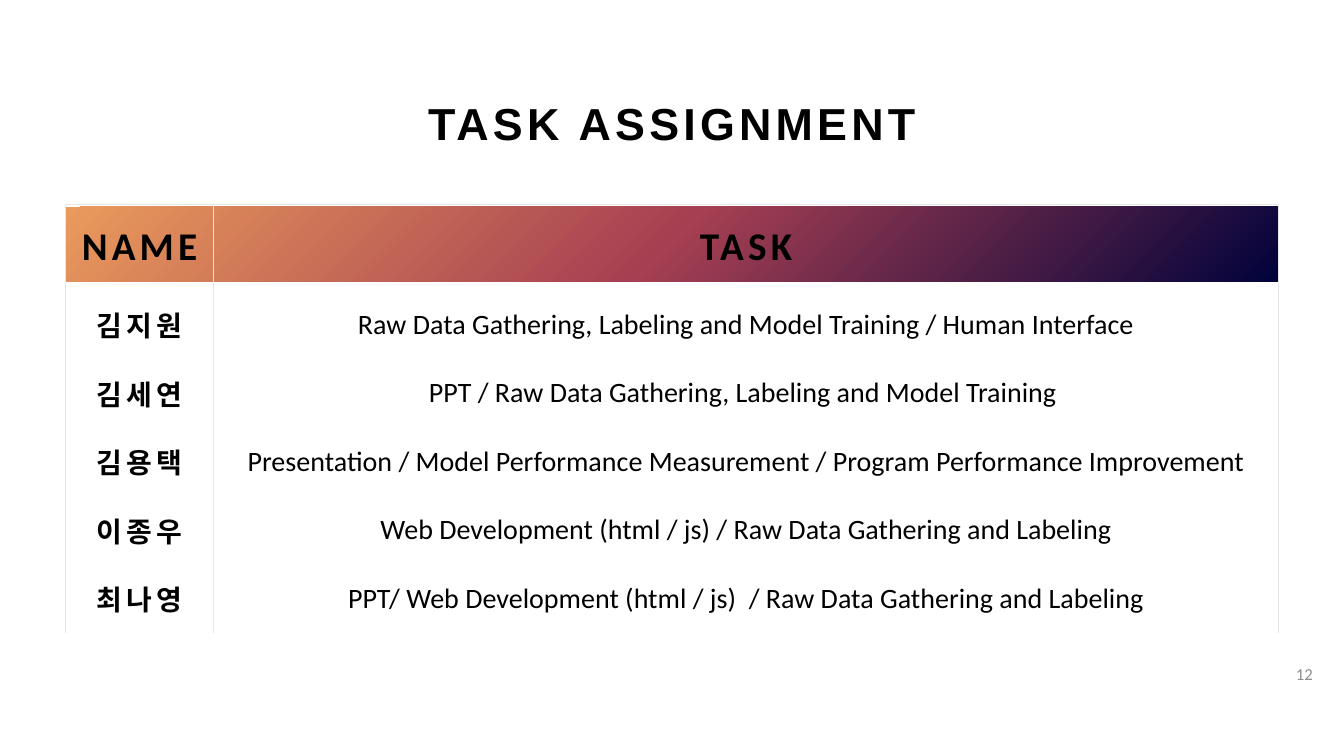
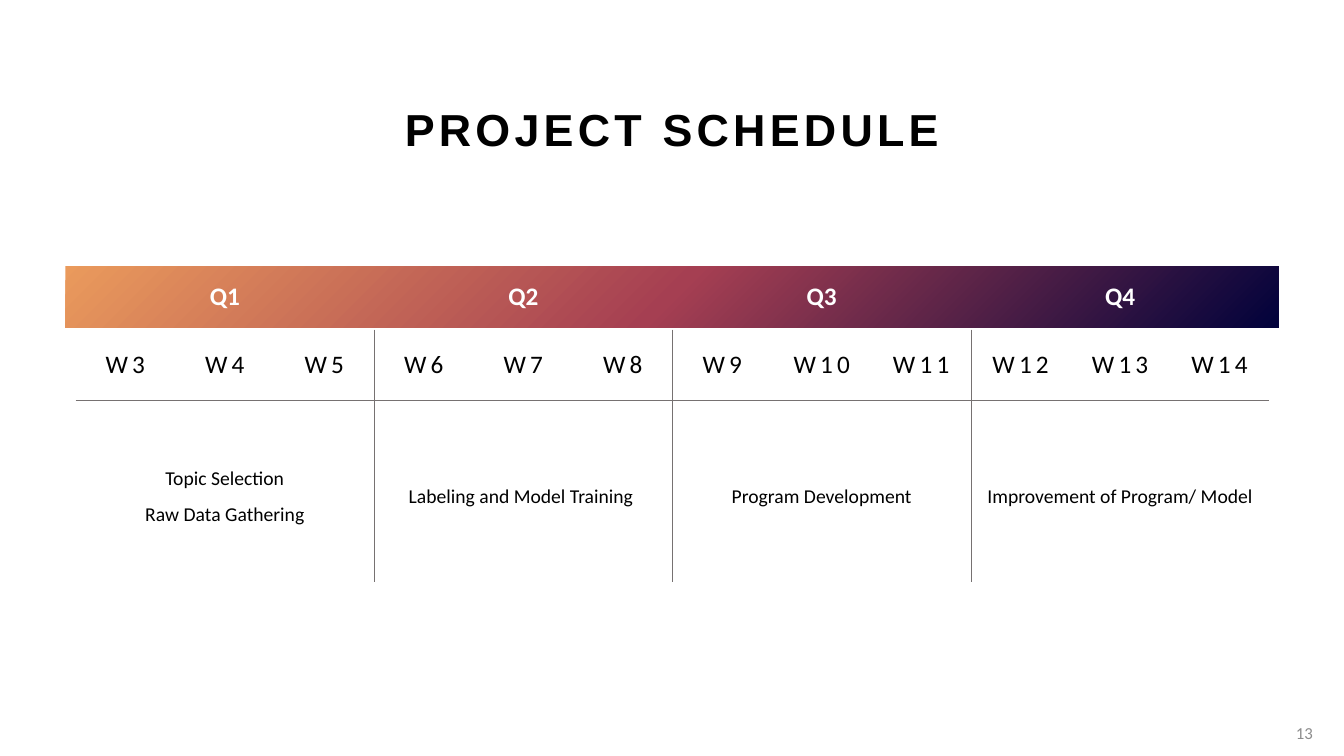
from dataclasses import dataclass, field

from pptx import Presentation
from pptx import util as u
from pptx.dml.color import RGBColor
from pptx.enum import shapes, text
from pptx.oxml import parse_xml
from pptx.oxml.ns import nsdecls, qn

EMU_PER_PX = 9144  # 100 px to the inch
COLORS = {
    "text": "000000",
    "white": "FFFFFF",
    "page": "8C8C8C",
    "navy": "01023B",
    "rose": "A53F52",
    "orange": "EA9A5C",
    "pale_rule": "E7E6E6",
    "rule": "767171",
}
HEADING_FONT, BODY_FONT = "Arial", "Calibri"
NO_STYLE = "{2D5ABB26-0587-4C30-8999-92F81FD0307C}"
LEFT, WIDTH = 65, 1203
WEEKS_PER_QUARTER, FIRST_WEEK = 3, 3

TASKS = {
    "김지원": "Raw Data Gathering, Labeling and Model Training / Human Interface",
    "김세연": "PPT / Raw Data Gathering, Labeling and Model Training ",
    "김용택": "Presentation / Model Performance Measurement / Program Performance Improvement",
    "이종우": "Web Development (html / js) / Raw Data Gathering and Labeling",
    "최나영": "PPT/ Web Development (html / js)  / Raw Data Gathering and Labeling",
}
QUARTERS = {
    "Q1": "Topic Selection\nRaw Data Gathering",
    "Q2": "Labeling and Model Training ",
    "Q3": "Program Development",
    "Q4": "Improvement of Program/ Model",
}


@dataclass(frozen=True)
class Frame:
    """Common parts of a slide, placed by their tops in px."""
    title: str
    title_top: int
    band_top: int
    band_height: int
    page: int
    page_top: int


@dataclass(frozen=True)
class TableCell:
    row: int
    column: int
    words: str
    sides: str = ""
    span: int = 1
    style: dict = field(default_factory=dict)


def px(length: float) -> u.Emu:
    return u.Emu(round(length * EMU_PER_PX))


def write(frame, words: str, *, size: int, color: str = "text", font: str = BODY_FONT,
          bold: bool = False, spacing: int = 0, line_spacing: float = 1.0,
          align=text.PP_ALIGN.CENTER) -> None:
    """Fill a text frame, one paragraph for each line of words."""
    for index, line in enumerate(words.split("\n")):
        paragraph = frame.add_paragraph() if index else frame.paragraphs[0]
        paragraph.alignment = align
        paragraph.line_spacing = line_spacing
        run = paragraph.add_run()
        run.text = line
        run.font.name, run.font.size, run.font.bold = font, u.Pt(size), bold
        run.font.color.rgb = RGBColor.from_string(COLORS[color])
        run._r.get_or_add_rPr().set("spc", str(spacing * 100))


def add_label(slide, box: tuple[int, int, int, int], words: str, **style) -> None:
    frame = slide.shapes.add_textbox(*map(px, box)).text_frame
    frame.word_wrap = True
    frame.vertical_anchor = text.MSO_ANCHOR.MIDDLE
    write(frame, words, **style)


def add_band(slide, top: int, height: int) -> None:
    """Draw the header band, shaded from its lower right corner."""
    band = slide.shapes.add_shape(shapes.MSO_SHAPE.RECTANGLE,
                                  *map(px, (LEFT, top, WIDTH, height)))
    band.shadow.inherit = False
    band.line.fill.background()
    band.fill.background()
    stops = "".join(
        f'<a:gs pos="{position}000"><a:srgbClr val="{COLORS[color]}"/></a:gs>'
        for position, color in ((0, "navy"), (50, "rose"), (100, "orange")))
    gradient = parse_xml(
        f'<a:gradFill {nsdecls("a")} rotWithShape="1"><a:gsLst>{stops}</a:gsLst>'
        '<a:path path="circle"><a:fillToRect l="100000" t="100000"/></a:path>'
        '</a:gradFill>')
    properties = band._element.spPr
    properties.replace(properties.find(qn("a:noFill")), gradient)


def add_framed_slide(presentation, frame: Frame):
    slide = presentation.slides.add_slide(presentation.slide_layouts[6])
    add_band(slide, frame.band_top, frame.band_height)
    add_label(slide, (LEFT, frame.title_top, WIDTH, 90), frame.title,
              size=32, font=HEADING_FONT, bold=True, spacing=3)
    add_label(slide, (1263, frame.page_top, 49, 40), str(frame.page),
              size=12, color="page", align=text.PP_ALIGN.RIGHT)
    return slide


def set_borders(cell, sides: str, color: str, width: float) -> None:
    """Rule the given sides (of L, R, T, B) and clear the others."""
    properties = cell._tc.get_or_add_tcPr()
    for index, side in enumerate("LRTB"):
        paint = (f'<a:solidFill><a:srgbClr val="{COLORS[color]}"/></a:solidFill>'
                 if side in sides else "<a:noFill/>")
        properties.insert(index, parse_xml(
            f'<a:ln{side} {nsdecls("a")} w="{u.Pt(width)}">{paint}</a:ln{side}>'))


def add_ruled_table(slide, left: int, top: int, columns: list[float], rows: list[int],
                    cells: list[TableCell], color: str, width: float) -> None:
    table = slide.shapes.add_table(
        len(rows), len(columns), *map(px, (left, top, sum(columns), sum(rows)))).table
    table.first_row = table.horz_banding = False
    table._tbl.tblPr.find(qn("a:tableStyleId")).text = NO_STYLE
    for column, length in zip(table.columns, columns):
        column.width = px(length)
    for row, length in zip(table.rows, rows):
        row.height = px(length)
    for item in cells:
        cell = table.cell(item.row, item.column)
        if item.span > 1:
            cell.merge(table.cell(item.row, item.column + item.span - 1))
        cell.fill.background()
        cell.vertical_anchor = text.MSO_ANCHOR.MIDDLE
        write(cell.text_frame, item.words, **item.style)
        set_borders(cell, item.sides, color, width)


def add_task_slide(presentation) -> None:
    slide = add_framed_slide(presentation, Frame("TASK ASSIGNMENT", 77, 205, 74, 12, 648))
    heading = dict(size=28, bold=True, spacing=3)
    cells = [TableCell(0, column, words, "LRT", style=heading)
             for column, words in enumerate(("NAME", "TASK"))]
    for row, (name, task) in enumerate(TASKS.items(), 1):
        cells += [TableCell(row, 0, name, "LR", style=dict(size=20, bold=True, spacing=3)),
                  TableCell(row, 1, task, "LR", style=dict(size=20))]
    add_ruled_table(slide, LEFT, 203, [147, 1056], [85] + [68] * len(TASKS),
                    cells, "pale_rule", 0.5)


def add_schedule_slide(presentation) -> None:
    slide = add_framed_slide(presentation, Frame("PROJECT SCHEDULE", 83, 264, 61, 13, 707))
    span, week_count = WEEKS_PER_QUARTER, WEEKS_PER_QUARTER * len(QUARTERS)
    cells = []
    for index, (quarter, work) in enumerate(QUARTERS.items()):
        start = index * span
        left = "L" if index else ""
        right = "R" if index < len(QUARTERS) - 1 else ""
        cells.append(TableCell(0, start, quarter, span=span,
                               style=dict(size=18, color="white", bold=True)))
        for week in range(span):
            sides = "B" + (left if week == 0 else "") + (right if week == span - 1 else "")
            cells.append(TableCell(1, start + week, f"W{FIRST_WEEK + start + week}", sides,
                                   style=dict(size=18, spacing=3)))
        cells.append(TableCell(2, start, work, "T" + left + right, span,
                               dict(size=14, line_spacing=1.5)))
    add_ruled_table(slide, 75, 263, [1184 / week_count] * week_count, [64, 70, 180],
                    cells, "rule", 0.25)


def main() -> None:
    presentation = Presentation()
    presentation.slide_width, presentation.slide_height = px(1333), px(750)
    add_task_slide(presentation)
    add_schedule_slide(presentation)
    presentation.save("out.pptx")


if __name__ == "__main__":
    main()
